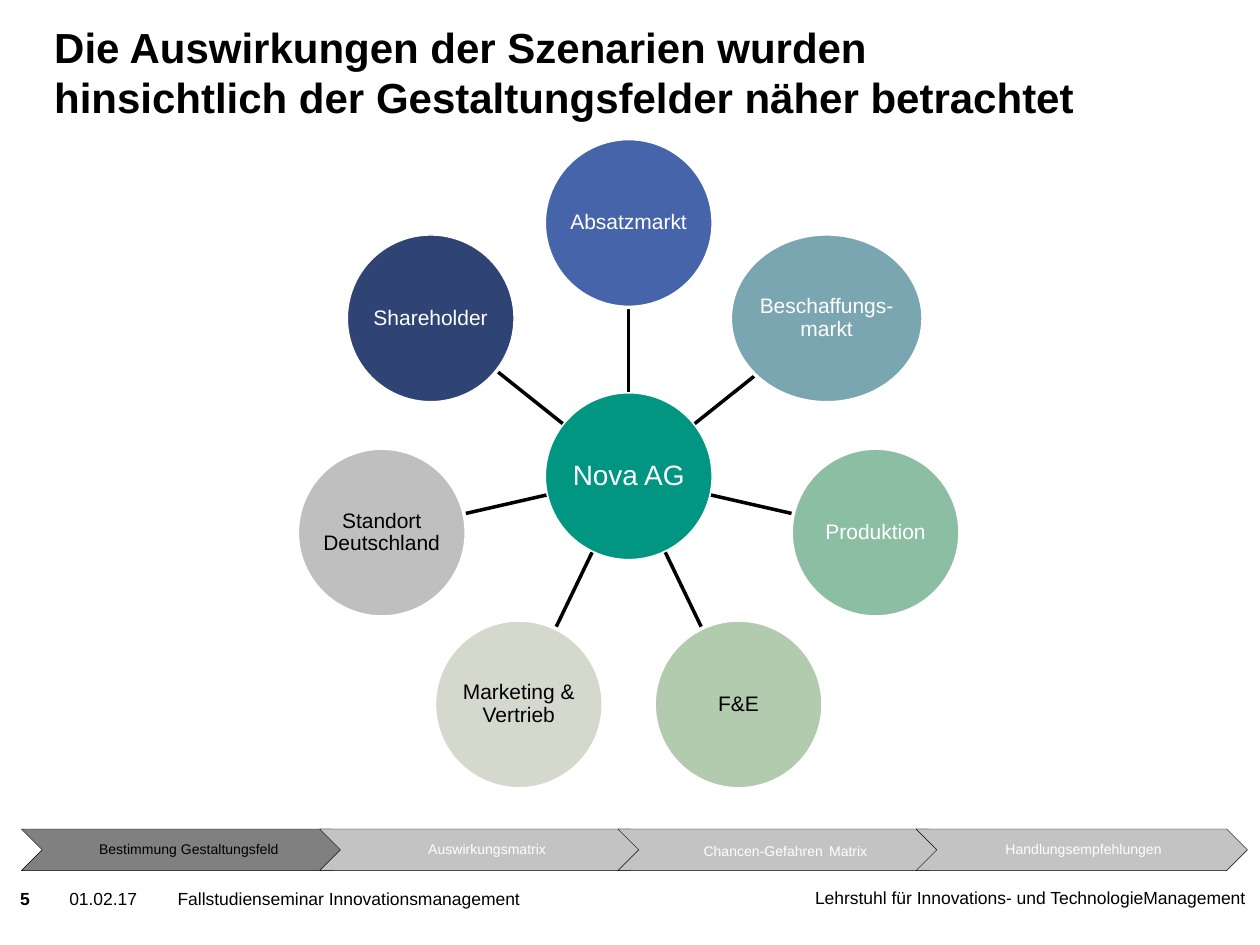
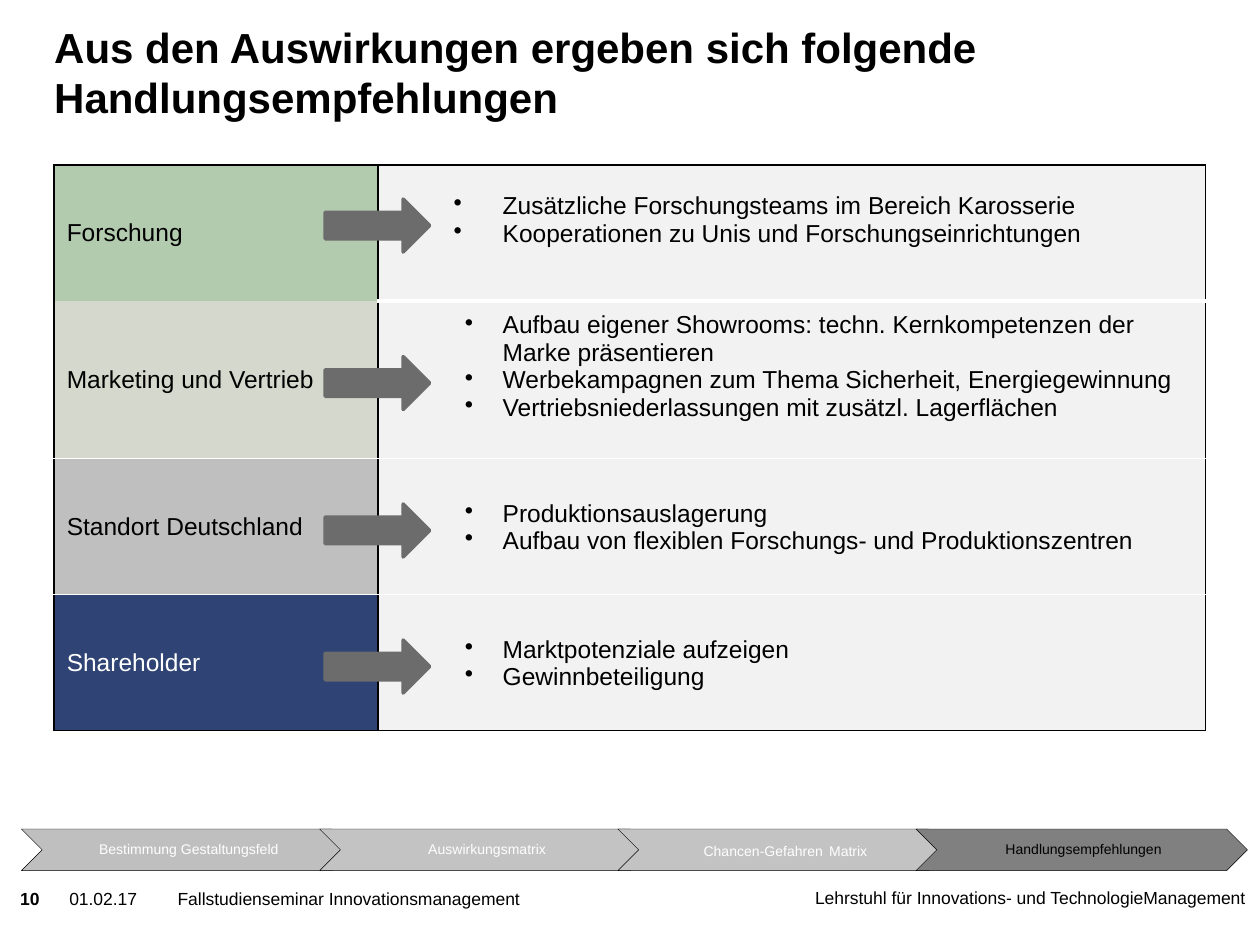
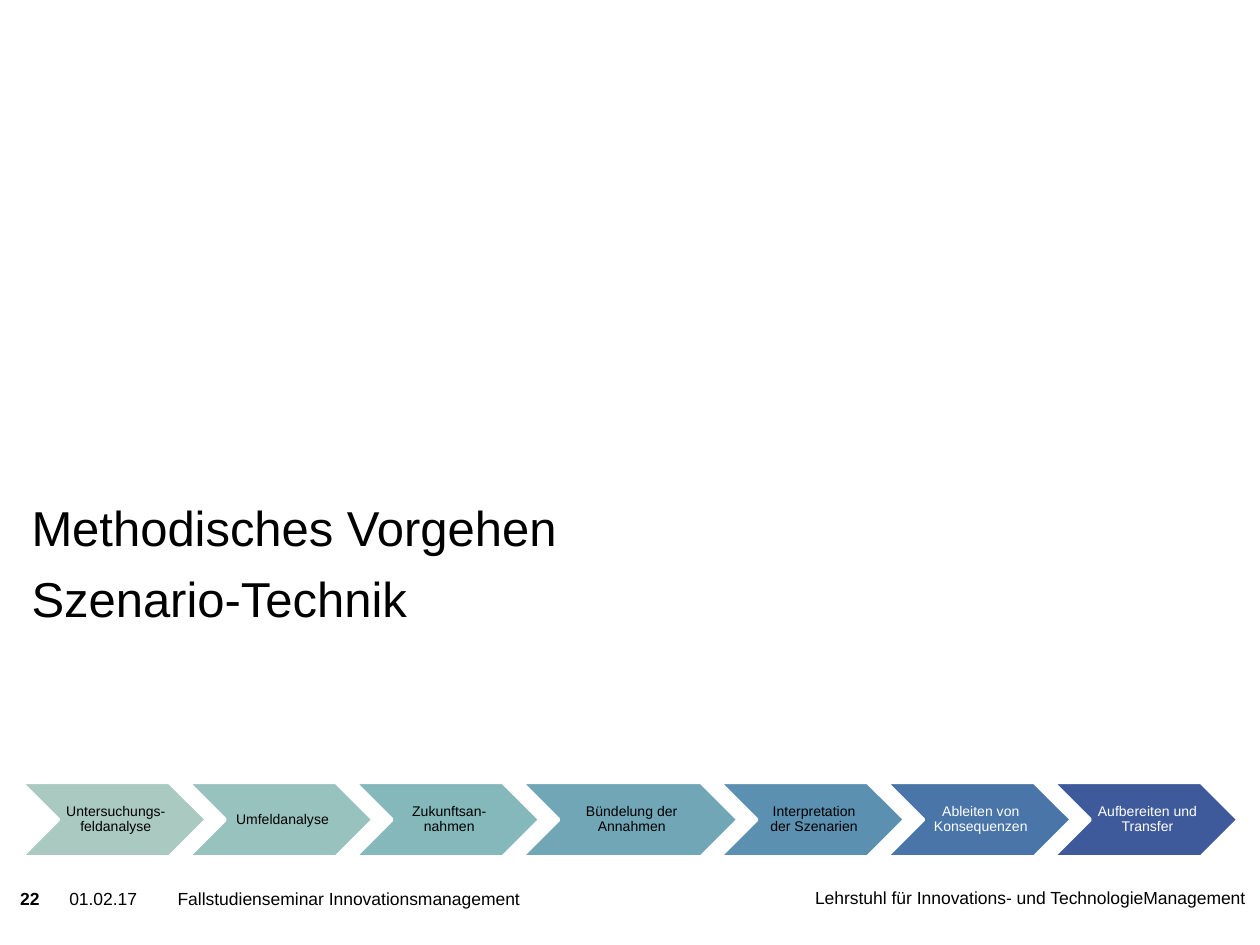
from math import cos, hypot, pi, sin

from lxml import etree
from pptx import Presentation
from pptx.dml.color import RGBColor
from pptx.enum.shapes import MSO_CONNECTOR, MSO_SHAPE
from pptx.enum.text import MSO_ANCHOR, MSO_AUTO_SIZE, PP_ALIGN
from pptx.oxml.ns import qn
from pptx.util import Inches, Pt

LEFT, MID, RIGHT = PP_ALIGN.LEFT, PP_ALIGN.CENTER, PP_ALIGN.RIGHT
TOP, CENTER, BOTTOM = MSO_ANCHOR.TOP, MSO_ANCHOR.MIDDLE, MSO_ANCHOR.BOTTOM
OVAL, ARROW, STEP = MSO_SHAPE.OVAL, MSO_SHAPE.RIGHT_ARROW, MSO_SHAPE.CHEVRON
LINE = MSO_CONNECTOR.STRAIGHT

FACE = "Arial"
BLACK, WHITE = "000000", "FFFFFF"
TEAL, BLUE, STEEL, MINT = "009682", "4664AA", "7AA6B2", "8CBEA3"
SAGE, SAND, SILVER, NAVY = "B2CAAD", "D5D8CC", "BFBFBF", "2F4374"
PALE, LIGHT, DARK, GREY = "F2F2F2", "C3C3C3", "808080", "6C6C6C"

TIGHT = (0.04, 0.01, 0.01, 0.01)
SIDES = ("margin_left", "margin_top", "margin_right", "margin_bottom")

FIELDS = [
    ("Absatzmarkt", BLUE, WHITE, 1.34),
    ("Beschaffungs-markt", STEEL, WHITE, 1.53),
    ("Produktion", MINT, WHITE, 1.34),
    ("F&E", SAGE, BLACK, 1.34),
    ("Marketing & Vertrieb", SAND, BLACK, 1.34),
    ("Standort Deutschland", SILVER, BLACK, 1.34),
    ("Shareholder", NAVY, WHITE, 1.34),
]
STAGES = [
    "Bestimmung Gestaltungsfeld",
    "Auswirkungsmatrix",
    [("Chancen-Gefahren", 8), (" ", 12), ("Matrix", 8)],
    "Handlungsempfehlungen",
]
PHASES = [
    ("Untersuchungs-feldanalyse", "AAC9C1", BLACK, 1.47),
    ("Umfeldanalyse", "98C2BE", BLACK, 1.47),
    ("Zukunftsan-nahmen", "84B8BB", BLACK, 1.47),
    ("Bündelung der Annahmen", "70A6B6", BLACK, 1.72),
    ("Interpretation der Szenarien", "5B90B1", BLACK, 1.47),
    ("Ableiten von Konsequenzen", "4A75A8", WHITE, 1.47),
    ("Aufbereiten und Transfer", "3F5A9A", WHITE, 1.47),
]
ADVICE = [
    ("Forschung", SAGE, BLACK, 1.08, 0.39, 0.22, [
        "Zusätzliche Forschungsteams im Bereich Karosserie",
        "Kooperationen zu Unis und Forschungseinrichtungen"]),
    ("Marketing und Vertrieb", SAND, BLACK, 1.25, 0.3, 0.22, [
        "Aufbau eigener Showrooms: techn. Kernkompetenzen der Marke präsentieren",
        "Werbekampagnen zum Thema Sicherheit, Energiegewinnung",
        "Vertriebsniederlassungen mit zusätzl. Lagerflächen"]),
    ("Standort Deutschland", SILVER, BLACK, 1.08, 0.3, 0, [
        "Produktionsauslagerung",
        "Aufbau von flexiblen Forschungs- und Produktionszentren"]),
    ("Shareholder", NAVY, WHITE, 1.08, 0.3, 0, [
        "Marktpotenziale aufzeigen",
        "Gewinnbeteiligung"]),
]
RULES = [(BLACK, 1), (WHITE, 3), (WHITE, 1), (WHITE, 1), (BLACK, 1)]
ARROWS = [1.58, 2.83, 4, 5.08]


def color(code):
    """Turn a hex string into a colour."""
    return RGBColor.from_string(code)


def apply(item, values):
    """Set each named value on an item."""
    for name, value in values.items():
        setattr(item, name, value)


def pad(item, sizes):
    """Set the four inner margins in inches."""
    apply(item, {side: Inches(size) for side, size in zip(SIDES, sizes)})


def write(frame, texts, size, ink=BLACK, bold=False, **layout):
    """Fill a text frame with paragraphs of one format."""
    for i, text in enumerate(texts):
        para = frame.add_paragraph() if i else frame.paragraphs[0]
        apply(para, layout)
        runs = [(text, size)] if isinstance(text, str) else text
        for part, points in runs:
            for j, line in enumerate(part.split("\n")):
                if j:
                    para.add_line_break()
                run = para.add_run()
                run.text = line
                apply(run.font, {"name": FACE, "size": Pt(points), "bold": bold})
                run.font.color.rgb = color(ink)


def place(item, box):
    """Move and size an item in inches."""
    names = ("left", "top", "width", "height")
    apply(item, {name: Inches(value) for name, value in zip(names, box)})


def label(slide, box, text, align=LEFT, bold=False):
    """Add one line of footer text."""
    frame = slide.shapes.add_textbox(*map(Inches, box)).text_frame
    frame.word_wrap = True
    pad(frame, (0, 0, 0, 0))
    write(frame, [text], 10, bold=bold, alignment=align)


def head(slide, box, texts, size, anchor, **style):
    """Place and fill the title placeholder."""
    title = slide.shapes.title
    place(title, box)
    frame = title.text_frame
    apply(frame, {"word_wrap": True, "auto_size": MSO_AUTO_SIZE.NONE,
                  "vertical_anchor": anchor})
    pad(frame, (0, 0, 0, 0))
    write(frame, texts, size, alignment=LEFT, **style)


def shape(slide, kind, box, fill, edge, width):
    """Add a flat preset shape."""
    item = slide.shapes.add_shape(kind, *map(Inches, box))
    item.shadow.inherit = False
    item.fill.solid()
    item.fill.fore_color.rgb = color(fill)
    item.line.color.rgb = color(edge)
    item.line.width = Pt(width)
    return item


def node(slide, kind, box, fill, text, ink, size, edge=WHITE, width=2,
         gaps=(0, 0, 0, 0)):
    """Add a shape with a centred text."""
    frame = shape(slide, kind, box, fill, edge, width).text_frame
    apply(frame, {"word_wrap": True, "vertical_anchor": CENTER})
    pad(frame, gaps)
    write(frame, [text], size, ink, alignment=MID, line_spacing=0.9)


def spoke(slide, start, end):
    """Add a plain black line."""
    link = slide.shapes.add_connector(LINE, *map(Inches, start + end))
    link.line.color.rgb = color(BLACK)
    link.line.width = Pt(2)
    etree.SubElement(link._element.spPr, qn("a:effectLst"))


def wheel(slide):
    """Draw the hub and the fields around it."""
    x, y, high, reach = 4.99, 3.78, 1.34, 2.01
    half = high / 2
    node(slide, OVAL, (x - half, y - half, high, high), TEAL,
         "Nova AG", WHITE, 16)
    for i, (text, fill, ink, wide) in enumerate(FIELDS):
        turn = 2 * pi * i / len(FIELDS)
        dx, dy = sin(turn), -cos(turn)
        stop = reach - 1 / hypot(dx * 2 / wide, dy / half)
        spoke(slide, (x + half * dx, y + half * dy),
              (x + stop * dx, y + stop * dy))
        box = (x + reach * dx - wide / 2, y + reach * dy - half, wide, high)
        node(slide, OVAL, box, fill, text, ink, 12)


def chain(slide, steps, top, high, edge, width):
    """Draw a row of overlapping chevrons."""
    left, lap = 0.17, steps[0][3] / 10
    for text, fill, ink, wide in steps:
        node(slide, STEP, (left, top, wide, high), fill, text, ink, 8,
             edge, width, TIGHT)
        left += wide - lap


def track(slide, now, rest):
    """Draw the stage bar with one stage marked."""
    steps = [(text, LIGHT, WHITE, 2.63) for text in STAGES]
    steps[0] = (STAGES[0], rest, WHITE, 2.63)
    steps[now] = (STAGES[now], DARK, BLACK, 2.63)
    chain(slide, steps, 6.58, 0.33, BLACK, 0.25)


def rim(cell, sides):
    """Set the borders of a cell."""
    props = cell._tc.get_or_add_tcPr()
    for side, rule in sides.items():
        line = etree.SubElement(props, qn("a:ln" + side))
        if rule is None:
            etree.SubElement(line, qn("a:noFill"))
            continue
        line.set("w", str(Pt(rule[1])))
        fill = etree.SubElement(line, qn("a:solidFill"))
        etree.SubElement(fill, qn("a:srgbClr")).set("val", rule[0])


def bullet(para, hang):
    """Give a paragraph a hanging bullet."""
    props = para._p.get_or_add_pPr()
    props.set("marL", str(Inches(0.98)))
    props.set("indent", str(-Inches(hang)))
    etree.SubElement(props, qn("a:buChar")).set("char", "•")


def fill_cell(cell, texts, fill, ink, sides):
    """Fill and frame one cell."""
    rim(cell, sides)
    cell.fill.solid()
    cell.fill.fore_color.rgb = color(fill)
    cell.vertical_anchor = CENTER
    write(cell.text_frame, texts, 14, ink)


def grid(slide):
    """Build the table of advice."""
    box = map(Inches, (0.43, 1.31, 9.14, 4.49))
    table = slide.shapes.add_table(len(ADVICE), 2, *box).table
    apply(table, {"first_row": False, "horz_banding": False})
    for col, wide in zip(table.columns, (2.57, 6.57)):
        col.width = Inches(wide)
    for i, (name, fill, ink, high, hang, low, points) in enumerate(ADVICE):
        table.rows[i].height = Inches(high)
        side = RULES[0]
        sides = {"L": side, "R": side, "T": RULES[i], "B": RULES[i + 1]}
        plain = {key: None if rule == RULES[1] else rule
                 for key, rule in sides.items()}
        fill_cell(table.cell(i, 0), [name], fill, ink, plain)
        cell = table.cell(i, 1)
        fill_cell(cell, points, PALE, BLACK, sides)
        pad(cell, (0.01, 0.01, 0.01, low))
        for para in cell.text_frame.paragraphs:
            bullet(para, hang)


def page(deck, number):
    """Add a slide with the shared footer."""
    slide = deck.slides.add_slide(deck.slide_layouts[5])
    label(slide, (6.4, 7.04, 3.48, 0.39),
          "Lehrstuhl für Innovations- und TechnologieManagement", RIGHT)
    label(slide, (0.16, 7.05, 0.36, 0.24), number, bold=True)
    label(slide, (0.55, 7.05, 0.94, 0.39), "01.02.17")
    label(slide, (1.41, 7.05, 4.97, 0.39),
          "Fallstudienseminar Innovationsmanagement")
    return slide


def main():
    """Build and save the deck."""
    deck = Presentation()
    deck.slide_width, deck.slide_height = Inches(10), Inches(7.5)

    slide = page(deck, "5")
    head(slide, (0.43, 0.36, 9.13, 0.61),
         ["Die Auswirkungen der Szenarien wurden\n"
          "hinsichtlich der Gestaltungsfelder näher betrachtet"],
         24, BOTTOM, bold=True)
    wheel(slide)
    track(slide, 0, DARK)

    slide = page(deck, "10")
    head(slide, (0.43, 0.36, 7.56, 0.61),
         ["Aus den Auswirkungen ergeben sich folgende Handlungsempfehlungen"],
         24, BOTTOM, bold=True)
    grid(slide)
    track(slide, 3, SILVER)
    for top in ARROWS:
        shape(slide, ARROW, (2.58, top, 0.83, 0.42), GREY, GREY, 2)

    slide = page(deck, "22")
    head(slide, (0.25, 3.95, 9.14, 2),
         ["Methodisches Vorgehen", "Szenario-Technik"],
         28, TOP, space_before=Pt(7))
    chain(slide, PHASES, 6.21, 0.59, WHITE, 2)

    deck.save("out.pptx")


if __name__ == "__main__":
    main()
